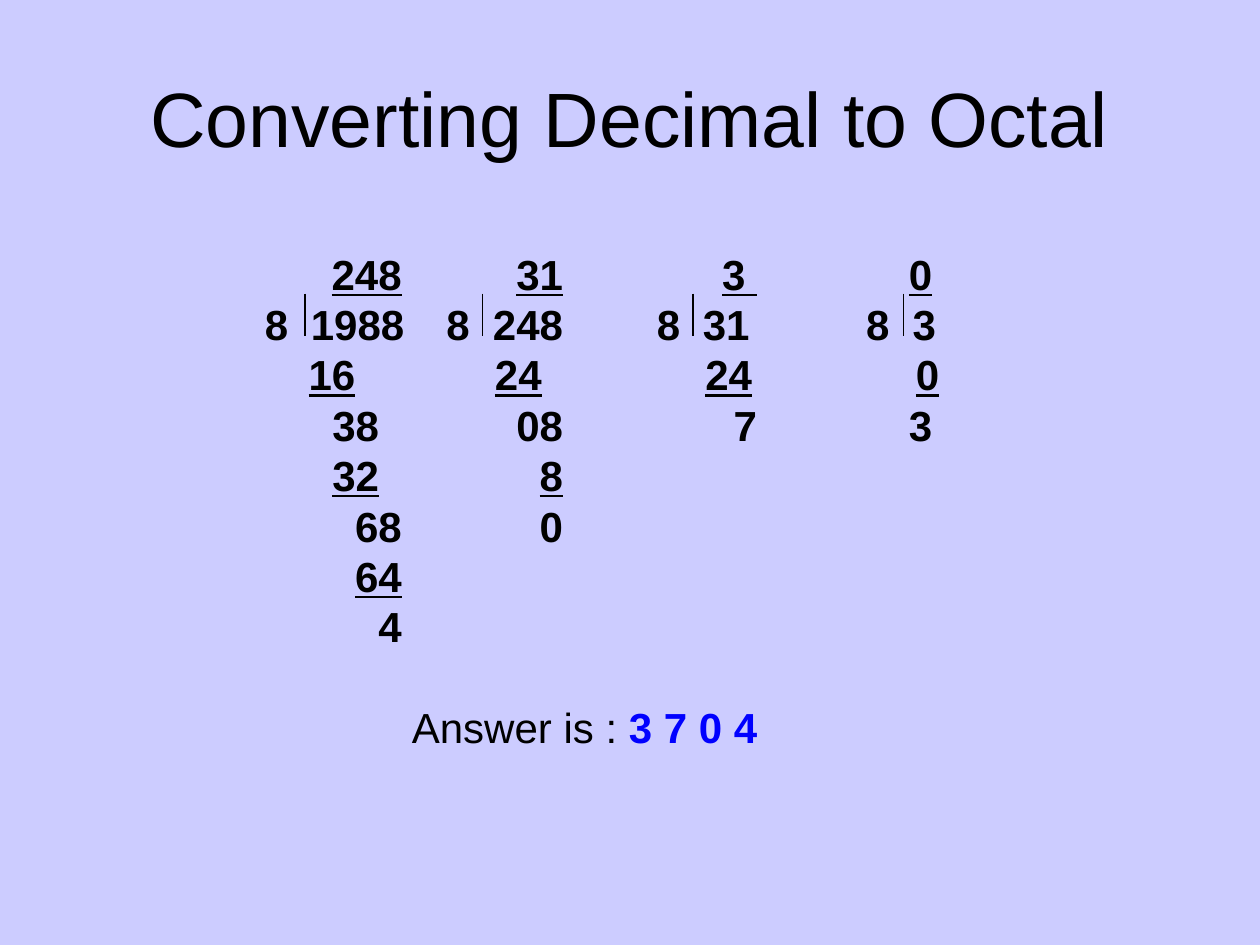
from lxml.etree import SubElement
from pptx import Presentation
from pptx.dml.color import RGBColor
from pptx.enum.shapes import MSO_CONNECTOR as Connector
from pptx.enum.text import MSO_ANCHOR as Anchor, MSO_AUTO_SIZE as AutoSize, PP_ALIGN as Align
from pptx.oxml.ns import qn
from pptx.util import Inches, Pt

BLACK, BLUE, LAVENDER = "000000", "0000FF", "CCCCFF"
TEXT_LEFT = 1.27
ROW = 0.4
PLAIN, UNDERLINED, BAR = range(3)


def color(value):
    return RGBColor.from_string(value)


def add_run(paragraph, text, size=24, bold=True, underline=False, fill=BLACK):
    run = paragraph.add_run()
    run.text = text
    run.font.name = "Arial"
    run.font.size = Pt(size)
    run.font.bold = bold
    run.font.underline = underline
    run.font.color.rgb = color(fill)


presentation = Presentation()
presentation.slide_width = Inches(10)
presentation.slide_height = Inches(7.5)
slide = presentation.slides.add_slide(presentation.slide_layouts[5])
slide.background.fill.solid()
slide.background.fill.fore_color.rgb = color(LAVENDER)

title = slide.shapes.title
title.left, title.top = Inches(0.5), Inches(0.3)
title.width, title.height = Inches(9), Inches(1.25)
title.text_frame.vertical_anchor = Anchor.MIDDLE
title_paragraph = title.text_frame.paragraphs[0]
title_paragraph.alignment = Align.CENTER
add_run(title_paragraph, "Converting Decimal to Octal", size=44, bold=False)

division_rows = [
    [(2.45, "l", "", PLAIN), (3.19, "r", "248", BAR),
     (3.82, "l", "", PLAIN), (4.47, "r", "31", BAR),
     (5.45, "l", "", PLAIN), (6.01, "r", "3 ", BAR),
     (7.12, "l", "", PLAIN), (7.4, "r", "0", BAR)],
    [(2.29, "r", "8", PLAIN), (3.21, "r", "1988", PLAIN),
     (3.73, "r", "8", PLAIN), (4.47, "r", "248", PLAIN),
     (5.4, "r", "8", PLAIN), (5.95, "r", "31", PLAIN),
     (7.06, "r", "8", PLAIN), (7.43, "r", "3", PLAIN)],
    [(2.45, "l", "16", UNDERLINED), (3.01, "r", "", BAR),
     (3.93, "l", "24", UNDERLINED),
     (5.6, "l", "24", UNDERLINED), (6.06, "r", "", BAR),
     (7.27, "l", "0", UNDERLINED)],
    [(3.01, "r", "38", PLAIN), (4.47, "r", "08", PLAIN),
     (6.01, "r", "7", PLAIN), (7.4, "r", "3", PLAIN)],
    [(3.01, "r", "32", UNDERLINED),
     (4.19, "l", "", PLAIN), (4.47, "r", "8", BAR),
     (5.12, "l", "", PLAIN), (5.4, "r", "", BAR)],
    [(3.19, "r", "68", PLAIN), (4.47, "r", "0", PLAIN)],
    [(3.19, "r", "64", UNDERLINED)],
    [(3.19, "r", "4", PLAIN)],
    [(3.27, "l", "", PLAIN)],
]

working = slide.shapes.add_textbox(Inches(1.17), Inches(1.92), Inches(7.92), Inches(4.1))
text_frame = working.text_frame
text_frame.word_wrap = True
text_frame.auto_size = AutoSize.SHAPE_TO_FIT_TEXT

for index, cells in enumerate(division_rows):
    paragraph = text_frame.paragraphs[0] if index == 0 else text_frame.add_paragraph()
    tab_list = SubElement(paragraph._p.get_or_add_pPr(), qn("a:tabLst"))
    paragraph.line_spacing = Inches(ROW)
    for position, alignment, text, style in cells:
        SubElement(tab_list, qn("a:tab"), pos=str(Inches(position - TEXT_LEFT)), algn=alignment)
        add_run(paragraph, "\t", underline=style == BAR)
        if text:
            add_run(paragraph, text, underline=style != PLAIN)

answer = text_frame.paragraphs[-1]
answer.space_before = Inches(ROW)
add_run(answer, "Answer is : ", bold=False)
add_run(answer, "3 7 0 4", fill=BLUE)

bracket_lines = [(x, 2.33, 2.67) for x in (2.42, 3.83, 5.5, 7.17)]
for x, top, bottom in bracket_lines + [(7.5, 4.17, 4.17)]:
    line = slide.shapes.add_connector(
        Connector.STRAIGHT, Inches(x), Inches(top), Inches(x), Inches(bottom))
    line.line.color.rgb = color(BLACK)
    line.line.width = Pt(0.75)
    SubElement(line._element.spPr, qn("a:effectLst"))

presentation.save("out.pptx")
